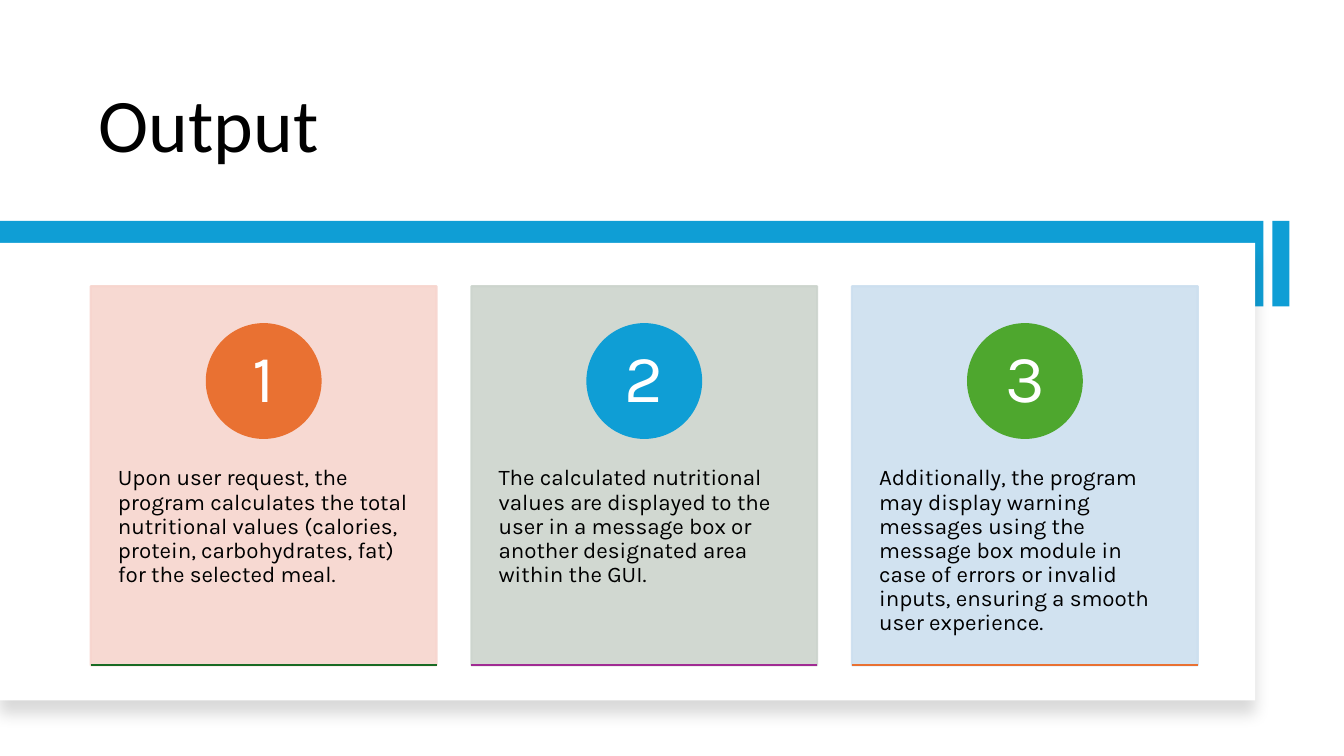
from dataclasses import dataclass

from lxml import etree
from pptx import Presentation
from pptx.dml.color import RGBColor
from pptx.enum.shapes import MSO_CONNECTOR, MSO_SHAPE
from pptx.enum.text import MSO_ANCHOR, PP_ALIGN
from pptx.oxml.ns import qn
from pptx.util import Inches, Pt

RECT, OVAL = MSO_SHAPE.RECTANGLE, MSO_SHAPE.OVAL
STRAIGHT = MSO_CONNECTOR.STRAIGHT
TOP, MIDDLE, BOTTOM = MSO_ANCHOR.TOP, MSO_ANCHOR.MIDDLE, MSO_ANCHOR.BOTTOM
LEFT, CENTER = PP_ALIGN.LEFT, PP_ALIGN.CENTER


@dataclass(frozen=True)
class Theme:
    title_font: str = "Calibri"
    body_font: str = "Karla"
    title_size: int = 54
    number_size: int = 48
    body_size: int = 16
    line_width: float = 1.5
    text: str = "000000"
    paper: str = "FFFFFF"
    band: str = "0F9ED5"
    card_opacity: int = 90


THEME = Theme()
SLIDE_W, SLIDE_H = 13.33, 7.5
CARD_W, CARD_H, CARD_PITCH = 3.43, 3.76, 3.775

# Card fill, circle colour, base line colour, text
STEPS = [
    ("F7D5CE", "E97132", "196B24",
     "Upon user request, the program calculates the total nutritional values "
     "(calories, protein, carbohydrates, fat) for the selected meal."),
    ("CCD4CD", "0F9ED5", "A02B93",
     "The calculated nutritional values are displayed to the user in a "
     "message box or another designated area within the GUI."),
    ("CCDFEF", "4EA72E", "E97132",
     "Additionally, the program may display warning messages using the "
     "message box module in case of errors or invalid inputs, ensuring a "
     "smooth user experience."),
]


def set_opacity(parent, percent):
    for color in parent.iter(qn("a:srgbClr")):
        etree.SubElement(color, qn("a:alpha"), val=str(percent * 1000))


def add_filled(slide, kind, box, color, outlined=False):
    shape = slide.shapes.add_shape(kind, *map(Inches, box))
    shape.shadow.inherit = False
    shape.fill.solid()
    shape.fill.fore_color.rgb = RGBColor.from_string(color)
    if outlined:
        shape.line.color.rgb = RGBColor.from_string(color)
        shape.line.width = Pt(THEME.line_width)
    else:
        shape.line.fill.background()
    return shape


def write(shape, words, font, size, color, anchor=TOP, align=LEFT, insets=(0.1, 0.05)):
    frame = shape.text_frame
    frame.word_wrap = True
    frame.vertical_anchor = anchor
    frame.margin_left = frame.margin_right = Inches(insets[0])
    frame.margin_top = frame.margin_bottom = Inches(insets[1])
    paragraph = frame.paragraphs[0]
    paragraph.text = words
    paragraph.alignment = align
    paragraph.line_spacing = 0.9
    paragraph.font.name = font
    paragraph.font.size = Pt(size)
    paragraph.font.color.rgb = RGBColor.from_string(color)


def add_title(slide, box, words):
    title = slide.shapes.add_textbox(*map(Inches, box))
    write(title, words, THEME.title_font, THEME.title_size, THEME.text, anchor=BOTTOM)


def add_backdrop(slide, left, top, width, height):
    """Blue band with its end bar, and the white panel that overlaps it."""
    band_h, bar_w, gap = 0.85, 0.17, 0.09
    add_filled(slide, RECT, (left + width + gap, top, bar_w, band_h), THEME.band)
    add_filled(slide, RECT, (left, top, width, band_h), THEME.band)
    panel_box = (left, top + 0.22, width - 0.08, height - 0.22)
    panel = add_filled(slide, RECT, panel_box, THEME.paper)

    # Soft shadow straight below the panel
    effects = panel._element.spPr.find(qn("a:effectLst"))
    shadow = etree.SubElement(effects, qn("a:outerShdw"), blurRad=str(Pt(11)),
                              dist=str(Pt(10)), dir="5400000", rotWithShape="0")
    etree.SubElement(shadow, qn("a:srgbClr"), val=THEME.text)
    set_opacity(shadow, 15)


def add_card(slide, box, number, step):
    left, top, width, height = box
    tint, accent, base_color, words = step
    card = add_filled(slide, RECT, box, tint, outlined=True)
    set_opacity(card._element.spPr, THEME.card_opacity)

    # Description
    body_box = (left, top + 0.38 * height, width, 0.6 * height)
    body = slide.shapes.add_textbox(*map(Inches, body_box))
    write(body, words, THEME.body_font, THEME.body_size, THEME.text, insets=(0.27, 0.36))

    # Numbered circle
    size = 0.3 * height
    circle_box = (left + (width - size) / 2, top + 0.1 * height, size, size)
    circle = add_filled(slide, OVAL, circle_box, accent, outlined=True)
    write(circle, str(number), THEME.body_font, THEME.number_size, THEME.paper,
          anchor=MIDDLE, align=CENTER, insets=(0.09, 0.01))

    # Base line
    ends = (left, top + height, left + width, top + height)
    base = slide.shapes.add_connector(STRAIGHT, *map(Inches, ends))
    base.line.color.rgb = RGBColor.from_string(base_color)
    base.line.width = Pt(THEME.line_width)
    etree.SubElement(base._element.spPr, qn("a:effectLst"))


def build_output_slide(prs):
    blank = prs.slide_layouts[6]
    slide = prs.slides.add_slide(blank)
    add_title(slide, (0.88, 0.42, 10.1, 1.3), "Output")
    add_backdrop(slide, 0, 2.19, 12.53, 4.76)
    for column, step in enumerate(STEPS):
        box = (0.9 + column * CARD_PITCH, 2.84, CARD_W, CARD_H)
        add_card(slide, box, column + 1, step)


def main():
    prs = Presentation()
    prs.slide_width, prs.slide_height = Inches(SLIDE_W), Inches(SLIDE_H)
    build_output_slide(prs)
    prs.save("out.pptx")


if __name__ == "__main__":
    main()
